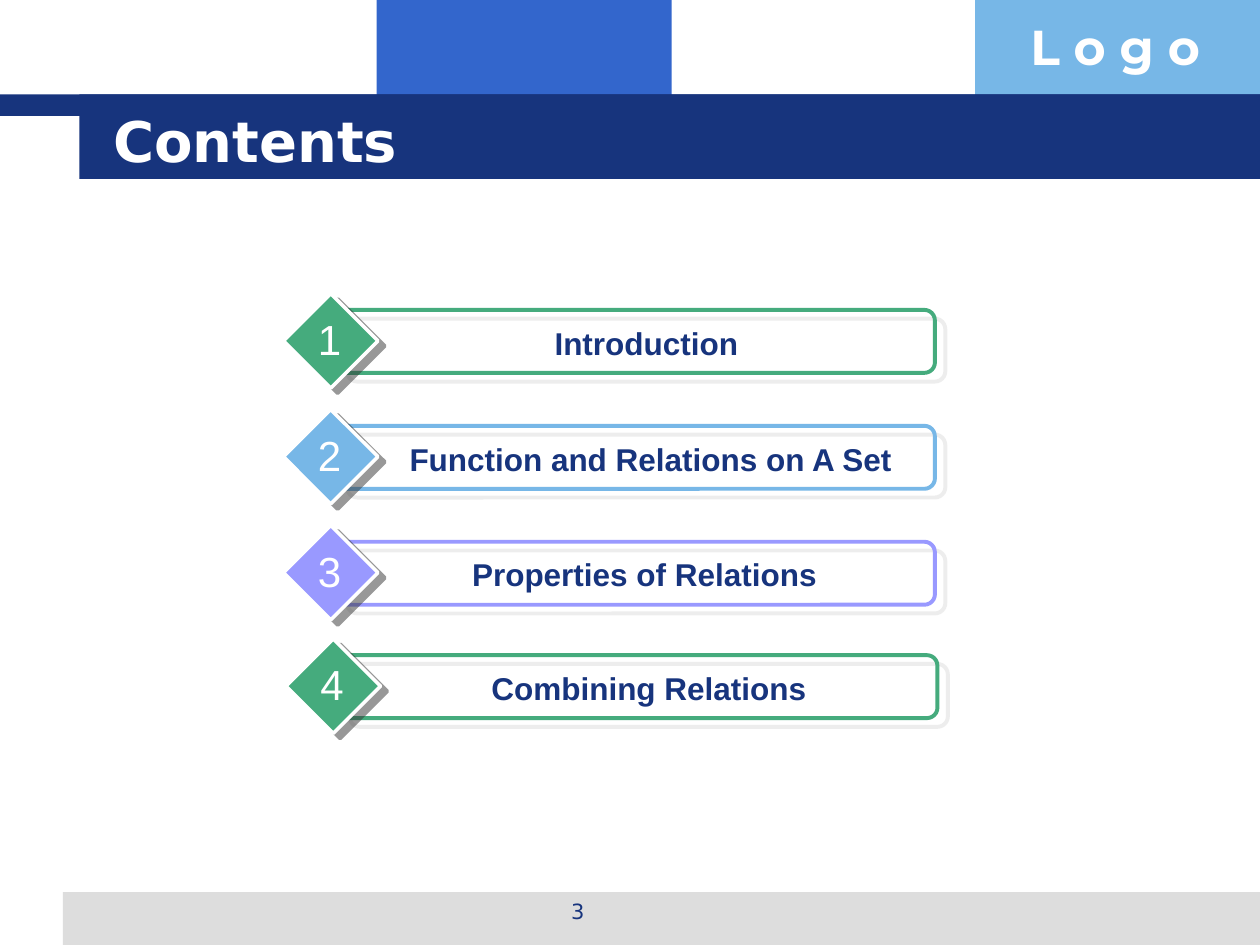
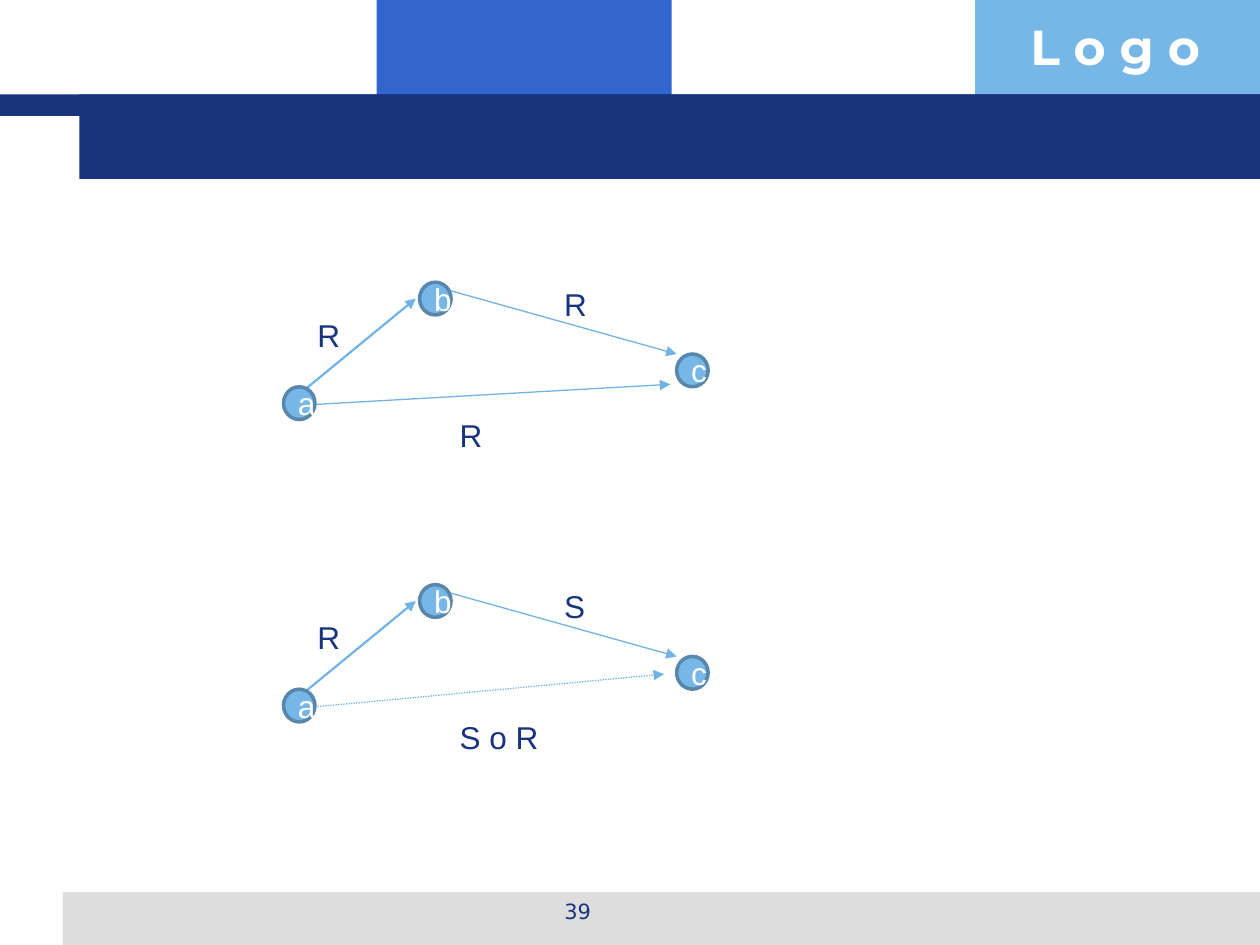
from dataclasses import dataclass

from lxml import etree
from pptx import Presentation
from pptx.dml.color import RGBColor
from pptx.enum.dml import MSO_LINE
from pptx.enum.shapes import MSO_CONNECTOR, MSO_SHAPE
from pptx.enum.text import MSO_ANCHOR, PP_ALIGN
from pptx.oxml.ns import qn
from pptx.util import Inches, Pt

RECTANGLE = MSO_SHAPE.RECTANGLE
ROUNDED = MSO_SHAPE.ROUNDED_RECTANGLE
DIAMOND = MSO_SHAPE.DIAMOND
OVAL = MSO_SHAPE.OVAL
STRAIGHT = MSO_CONNECTOR.STRAIGHT
DOTTED = MSO_LINE.ROUND_DOT
LEFT, CENTER = PP_ALIGN.LEFT, PP_ALIGN.CENTER
TOP, MIDDLE = MSO_ANCHOR.TOP, MSO_ANCHOR.MIDDLE


@dataclass(frozen=True)
class Theme:
    navy: str = "17347D"
    blue: str = "3366CC"
    sky: str = "77B7E7"
    green: str = "45AB7D"
    violet: str = "9999FF"
    grey: str = "DDDDDD"
    white: str = "FFFFFF"
    dark: str = "333333"
    arrow: str = "72B3E5"
    node_line: str = "5887AB"
    body_font: str = "Arial"
    title_font: str = "DejaVu Sans"
    logo_font: str = "Montserrat"
    title_size: int = 32
    logo_size: int = 28
    number_size: int = 24
    body_size: int = 18
    footer_size: int = 12


THEME = Theme()


def color(value):
    return RGBColor.from_string(value)


def write(shape, text, size=THEME.body_size, font=THEME.body_font, ink=THEME.navy,
          bold=False, align=LEFT, anchor=TOP, wrap=True):
    """Put one formatted paragraph into a shape."""
    frame = shape.text_frame
    frame.text = text
    frame.word_wrap = wrap
    frame.vertical_anchor = anchor
    paragraph = frame.paragraphs[0]
    paragraph.alignment = align
    style = paragraph.runs[0].font
    style.size, style.name, style.bold = Pt(size), font, bold
    style.color.rgb = color(ink)


def add_text(slide, box, text, **style):
    write(slide.shapes.add_textbox(*map(Inches, box)), text, **style)


def add_shape(slide, kind, box, fill=None, line=None, width=0):
    shape = slide.shapes.add_shape(kind, *map(Inches, box))
    shape.shadow.inherit = False
    if fill:
        shape.fill.solid()
        shape.fill.fore_color.rgb = color(fill)
    else:
        shape.fill.background()
    if line:
        shape.line.color.rgb = color(line)
        shape.line.width = Pt(width)
    else:
        shape.line.fill.background()
    return shape


def add_shadow(shape, ink, distance, angle):
    """Give a shape a hard, half transparent shadow."""
    effects = shape._element.spPr.find(qn("a:effectLst"))
    shadow = etree.SubElement(effects, qn("a:outerShdw"), dist=str(Pt(distance)),
                              dir=str(angle * 60000), algn="ctr", rotWithShape="0")
    shade = etree.SubElement(shadow, qn("a:srgbClr"), val=ink)
    etree.SubElement(shade, qn("a:alpha"), val="50000")


def add_arrow(slide, start, end, width=0.75, dash=None):
    arrow = slide.shapes.add_connector(STRAIGHT, *map(Inches, (*start, *end)))
    arrow.line.color.rgb = color(THEME.arrow)
    arrow.line.width = Pt(width)
    if dash:
        arrow.line.dash_style = dash
    etree.SubElement(arrow.line._get_or_add_ln(), qn("a:tailEnd"), type="triangle")
    etree.SubElement(arrow._element.spPr, qn("a:effectLst"))


def add_frame(presentation, number, title=None):
    """Start a slide with the shared bands, page number and optional title."""
    slide = presentation.slides.add_slide(presentation.slide_layouts[6])
    bands = [
        ((2.99, 0, 2.34, 0.92), THEME.blue),
        ((7.74, 0, 2.26, 0.92), THEME.sky),
        ((0.5, 7.08, 9.5, 0.42), THEME.grey),
        ((0, 0.75, 10, 0.17), THEME.navy),
        ((0.63, 0.75, 9.37, 0.67), THEME.navy),
    ]
    for box, fill in bands:
        add_shape(slide, RECTANGLE, box, fill)
    add_text(slide, (8.08, 0.08, 1.93, 0.57), "L o g o", size=THEME.logo_size,
             font=THEME.logo_font, ink=THEME.white, bold=True)
    add_text(slide, (3.42, 7.08, 2.33, 0.35), str(number), size=THEME.footer_size,
             font=THEME.title_font, align=CENTER)
    if title:
        add_text(slide, (0.8, 0.8, 8.53, 0.62), title, size=THEME.title_size,
                 font=THEME.title_font, ink=THEME.white, bold=True, anchor=MIDDLE)
    return slide


def add_entry(slide, left, top, number, text, text_box, accent):
    """Contents row: outlined bar, numbered diamond and label."""
    bar = add_shape(slide, ROUNDED, (left + 0.42, top + 0.13, 4.75, 0.5),
                    line=accent, width=2.25)
    bar.adjustments[0] = 0.167
    add_shadow(bar, THEME.grey, 7.8, 40)
    diamond = add_shape(slide, DIAMOND, (left, top, 0.75, 0.75), accent, THEME.white, 2)
    add_shadow(diamond, THEME.dark, 5, 37)
    offset, width = text_box
    add_text(slide, (left + offset, top + 0.19, width, 0.4), text,
             bold=True, align=CENTER)
    add_text(slide, (left + 0.17, top + 0.11, 0.39, 0.5), str(number),
             size=THEME.number_size, ink=THEME.white, align=CENTER, wrap=False)


def add_relation(slide, left, top, labels, shortcut_end, dash=None):
    """Triangle a-b-c: two steps and the shortcut from a to c."""
    def at(x, y):
        return left + x, top + y

    # Arrows
    add_arrow(slide, at(0.05, 0.95), at(1.05, 0.13), width=1.25)
    add_arrow(slide, at(1.3, 0.06), at(3.12, 0.57))
    add_arrow(slide, at(0.25, 0.97), at(*shortcut_end), dash=dash)

    # Nodes
    for name, x, y in (("a", 0, 0.83), ("b", 1.08, 0), ("c", 3.12, 0.57)):
        node = add_shape(slide, OVAL, (*at(x, y), 0.25, 0.26),
                         THEME.sky, THEME.node_line, 2)
        write(node, name, ink=THEME.white, align=CENTER, anchor=MIDDLE)

    # Labels: first step, shortcut, second step
    places = ((0.17, 0.22, 0.66), (1.3, 1.01, 1.3), (2.13, -0.03, 0.66))
    for text, (x, y, width) in zip(labels, places):
        add_text(slide, (*at(x, y), width, 0.4), text)


def build_contents(presentation):
    slide = add_frame(presentation, 3, "Contents")
    entries = [
        ("Introduction", (0.67, 4.42), THEME.green),
        ("Function and Relations on A Set", (0.75, 4.33), THEME.sky),
        ("Properties of Relations", (0.7, 4.33), THEME.violet),
        ("Combining Relations", (0.67, 4.42), THEME.green),
    ]
    for index, (text, text_box, accent) in enumerate(entries):
        # The last row sits slightly up and to the right
        nudge = 0.02 if index == len(entries) - 1 else 0
        add_entry(slide, 2.25 + nudge, 2.33 + index * 0.92 - nudge,
                  index + 1, text, text_box, accent)


def build_relations(presentation):
    slide = add_frame(presentation, 39)
    add_relation(slide, 2.25, 2.24, ("R", "R", "R"), (3.07, 0.81))
    add_relation(slide, 2.25, 4.64, ("R", "S o R", "S"), (3.02, 0.71), DOTTED)


presentation = Presentation()
presentation.slide_width, presentation.slide_height = Inches(10), Inches(7.5)
build_contents(presentation)
build_relations(presentation)
presentation.save("out.pptx")
